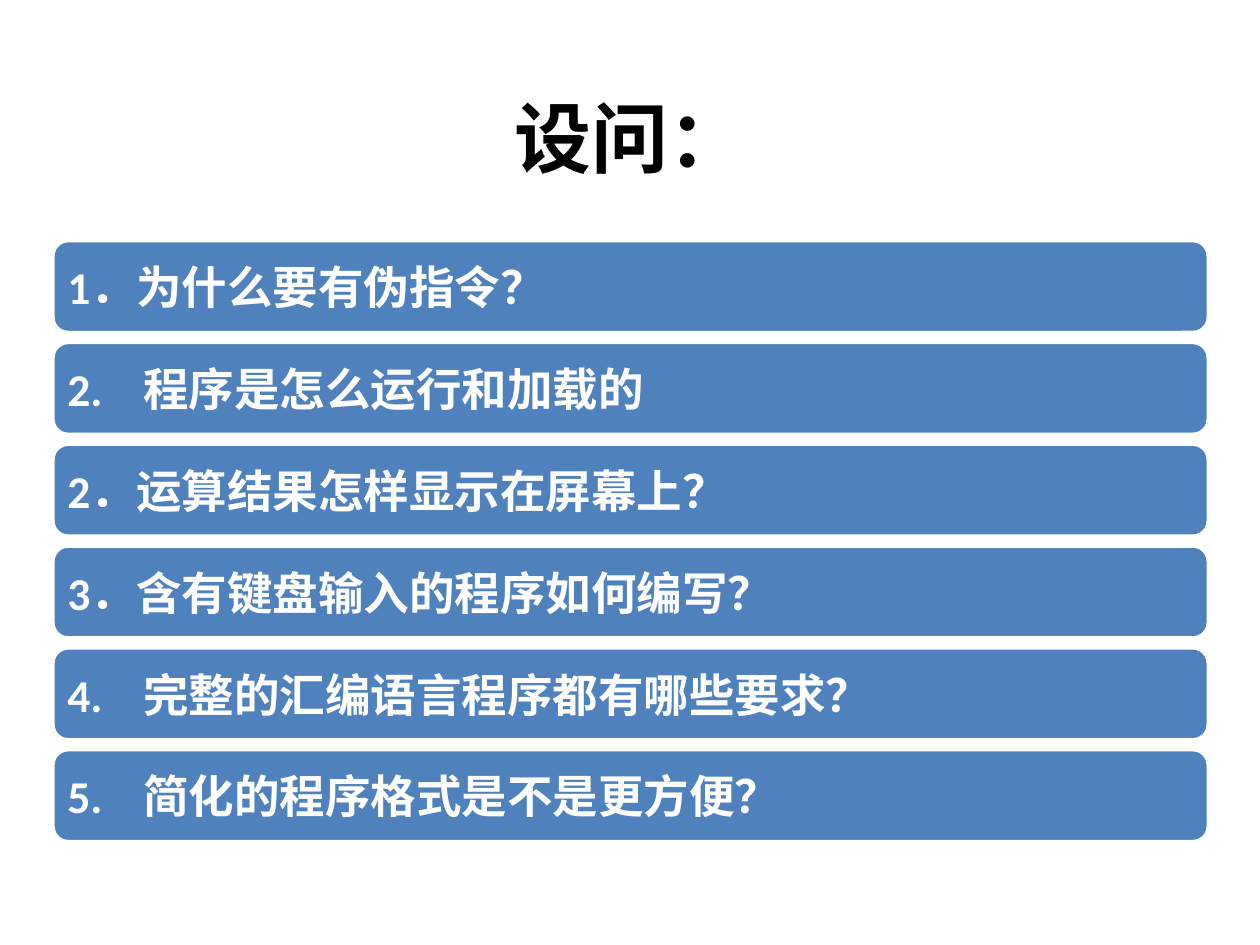
import pptx
import pptx.util
import pptx.dml.color
import pptx.enum.shapes
import pptx.enum.text
import pptx.oxml.ns
from lxml import etree
from dataclasses import dataclass
from pptx.util import Inches


@dataclass(frozen=True)
class Theme:
    black: str = "000000"
    white: str = "FFFFFF"
    blue: str = "4F81BD"
    latin: str = "Calibri"
    chinese: str = "Noto Sans CJK SC"
    title_size: int = 44
    question_size: int = 26


theme = Theme()
rgb = pptx.dml.color.RGBColor.from_string
qn = pptx.oxml.ns.qn


def set_font(paragraph, latin, size, color):
    font = paragraph.font
    font.name, font.size, font.bold = latin, pptx.util.Pt(size), True
    font.color.rgb = rgb(color)
    defaults = paragraph._p.pPr.find(qn("a:defRPr"))
    etree.SubElement(defaults, qn("a:ea"), typeface=theme.chinese)


presentation = pptx.Presentation()
presentation.slide_width, presentation.slide_height = Inches(10), Inches(7.5)
slide = presentation.slides.add_slide(presentation.slide_layouts[5])

# Title
title = slide.shapes.title
title.left, title.top = Inches(0.5), Inches(0.75)
title.width, title.height = Inches(9), Inches(1.08)
title.text_frame.text = "设问："
title.text_frame.vertical_anchor = pptx.enum.text.MSO_ANCHOR.TOP
heading = title.text_frame.paragraphs[0]
heading.alignment = pptx.enum.text.PP_ALIGN.CENTER
heading.line_spacing = 0.9
set_font(heading, theme.chinese, theme.title_size, theme.black)

# Question bars, evenly stacked
questions = [
    "1．为什么要有伪指令？",
    "2.\t程序是怎么运行和加载的",
    "2．运算结果怎样显示在屏幕上？",
    "3．含有键盘输入的程序如何编写？",
    "4.\t完整的汇编语言程序都有哪些要求？",
    "5.\t简化的程序格式是不是更方便？",
]
first_top, pitch = 1.91, 0.808

for index, question in enumerate(questions):
    bar = slide.shapes.add_shape(
        pptx.enum.shapes.MSO_SHAPE.ROUNDED_RECTANGLE,
        Inches(0.42), Inches(first_top + index * pitch), Inches(9.17), Inches(0.73))
    bar.shadow.inherit = False
    bar.fill.solid()
    bar.fill.fore_color.rgb = rgb(theme.blue)
    bar.line.color.rgb = rgb(theme.white)
    bar.line.width = pptx.util.Pt(2)

    frame = bar.text_frame
    frame.word_wrap = True
    frame.vertical_anchor = pptx.enum.text.MSO_ANCHOR.MIDDLE
    frame.margin_left = frame.margin_right = Inches(0.08)
    frame.text = question
    line = frame.paragraphs[0]
    line.alignment = pptx.enum.text.PP_ALIGN.LEFT

    # Tab stop that separates number and question
    tabs = etree.SubElement(line._p.get_or_add_pPr(), qn("a:tabLst"))
    etree.SubElement(tabs, qn("a:tab"), pos=str(Inches(0.6)), algn="l")
    set_font(line, theme.latin, theme.question_size, theme.white)

presentation.save("out.pptx")
